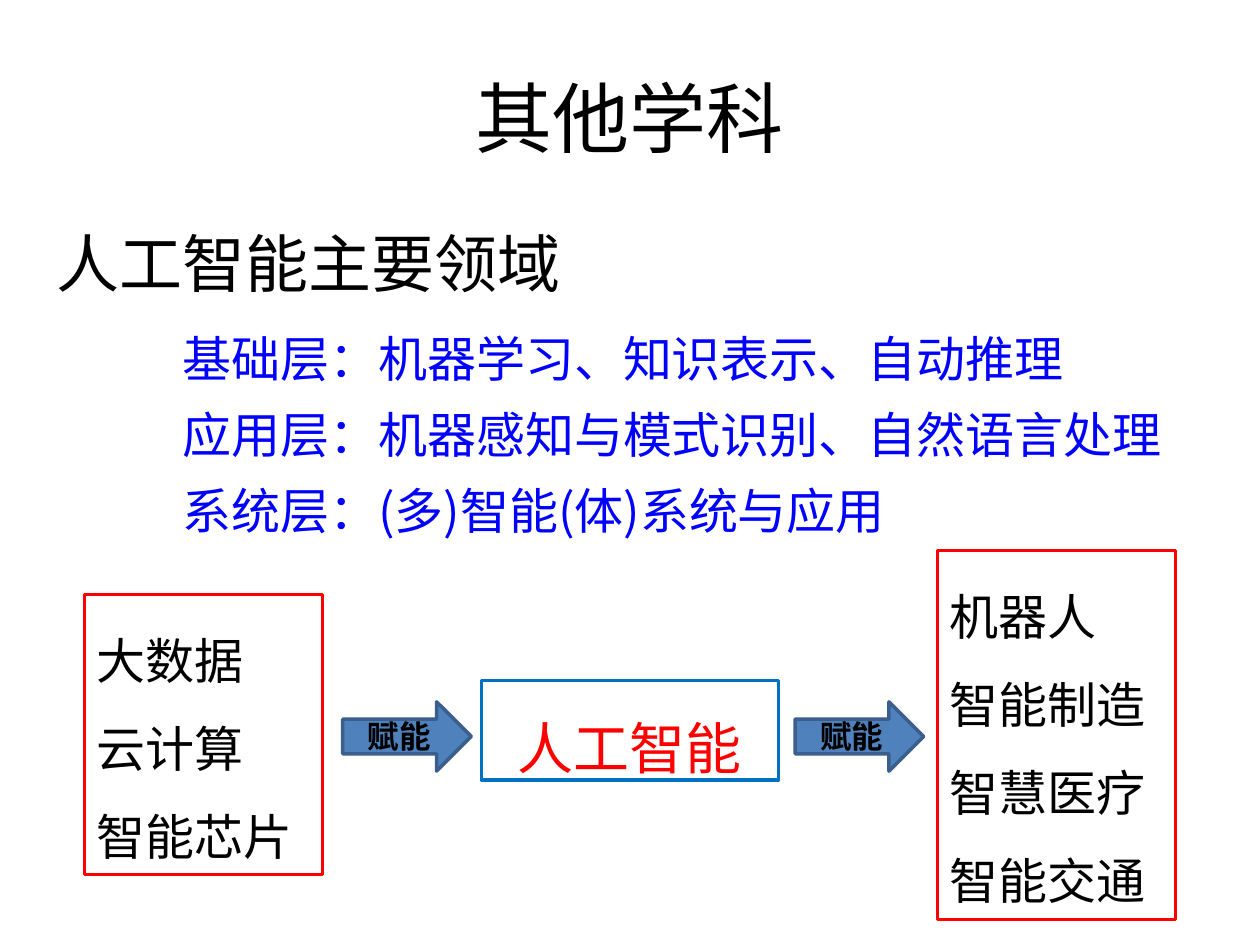
import pptx
import pptx.dml.color
import pptx.enum.shapes
import pptx.enum.text
import pptx.util

W, H = 10, 7.5
SANS, SERIF = "Noto Sans CJK SC", "Times New Roman"
SHAPE = pptx.enum.shapes.MSO_SHAPE
ALIGN = pptx.enum.text.PP_ALIGN
ANCHOR = pptx.enum.text.MSO_ANCHOR
AUTO = pptx.enum.text.MSO_AUTO_SIZE


def color(value):
    return pptx.dml.color.RGBColor.from_string(value)


def inches(box):
    return [pptx.util.Inches(v) for v in box]


def place(sp, box):
    sp.left, sp.top, sp.width, sp.height = inches(box)


def write(p, text, size, font, fill="000000", bold=None, align=None,
          spacing=None, level=0, indent=0):
    """Fill a paragraph with one run, without bullet or space before."""
    p.level = level
    pPr = p._p.get_or_add_pPr()
    pPr.set("marL", str(pptx.util.Inches(indent)))
    pPr.set("indent", "0")
    p.alignment = align
    p.line_spacing = spacing
    p.space_before = pptx.util.Pt(0)
    pPr.append(pptx.oxml.parse_xml(
        '<a:buNone xmlns:a="http://schemas.openxmlformats.org/drawingml/2006/main"/>'))
    r = p.add_run()
    r.text = text
    r.font.size = pptx.util.Pt(size)
    r.font.name = font
    r.font.bold = bold
    r.font.color.rgb = color(fill)


def write_lines(tf, lines, **style):
    for i, line in enumerate(lines):
        p = tf.paragraphs[0] if i == 0 else tf.add_paragraph()
        write(p, line, **style)


def add_shape(s, kind, box, line, fill=None):
    sp = s.shapes.add_shape(kind, *inches(box))
    sp.shadow.inherit = False
    if fill:
        sp.fill.solid()
        sp.fill.fore_color.rgb = color(fill)
    else:
        sp.fill.background()
    sp.line.color.rgb = color(line)
    sp.line.width = pptx.util.Pt(2)
    return sp


def fill_body(sp, box, heading, layers):
    place(sp, box)
    tf = sp.text_frame
    tf.word_wrap = True
    tf.auto_size = AUTO.SHAPE_TO_FIT_TEXT
    write(tf.paragraphs[0], heading, 36, SERIF, spacing=1.3)
    tf.paragraphs[0].space_after = pptx.util.Pt(6)
    for layer in layers:
        write(tf.add_paragraph(), layer, 28, SANS, "0000FF",
              spacing=1.3, level=2, indent=1)


def add_list_box(s, box, lines):
    tf = add_shape(s, SHAPE.RECTANGLE, box, "FF0000").text_frame
    tf.word_wrap = True
    tf.auto_size = AUTO.SHAPE_TO_FIT_TEXT
    tf.vertical_anchor = ANCHOR.TOP
    write_lines(tf, lines, size=28, font=SERIF, align=ALIGN.LEFT,
                spacing=1.5, level=1)


def add_core_box(s, box, text):
    tf = add_shape(s, SHAPE.RECTANGLE, box, "0070C0").text_frame
    tf.word_wrap = True
    tf.vertical_anchor = ANCHOR.MIDDLE
    write(tf.paragraphs[0], text, 32, SANS, "FF0000",
          align=ALIGN.CENTER, spacing=1.5)


def add_labelled_arrow(s, box, text):
    left, top, width, height = box
    add_shape(s, SHAPE.RIGHT_ARROW, box, "3A5F8C", "4F81BD")
    label = s.shapes.add_textbox(
        *inches((left - 0.02, top + 0.07, width - 0.08, 0.4)))
    tf = label.text_frame
    tf.word_wrap = True
    tf.auto_size = AUTO.SHAPE_TO_FIT_TEXT
    write(tf.paragraphs[0], text, 18, SANS, bold=True, align=ALIGN.CENTER)


def add_flow(s, box):
    """Inputs, the core field and its uses, linked by two arrows."""
    left, top, width, height = box
    side, core = 1.89, 2.36
    add_core_box(s, ((W - core) / 2, top + 1.03, core, 0.79), "人工智能")
    add_list_box(s, (left + width - side, top, side, height),
                 ["机器人", "智能制造", "智慧医疗", "智能交通"])
    add_list_box(s, (left, top + 0.35, side, 2.22),
                 ["大数据", "云计算", "智能芯片"])
    for x in (2.72, 6.31):
        add_labelled_arrow(s, (x, top + 1.2, 1.02, 0.55), "赋能")


def main():
    prs = pptx.Presentation()
    prs.slide_width, prs.slide_height = inches((W, H))
    s = prs.slides.add_slide(prs.slide_layouts[1])
    title, body = s.placeholders
    place(title, (0.5, 0.3, 9, 1.25))
    write(title.text_frame.paragraphs[0], "其他学科", 44, SANS,
          align=ALIGN.CENTER)
    fill_body(body, (0.35, 1.55, 9.29, 2.81), "人工智能主要领域", [
        "基础层：机器学习、知识表示、自动推理",
        "应用层：机器感知与模式识别、自然语言处理",
        "系统层：(多)智能(体)系统与应用",
    ])
    add_flow(s, (0.67, 4.37, 8.66, 2.93))
    prs.save("out.pptx")


if __name__ == "__main__":
    main()
